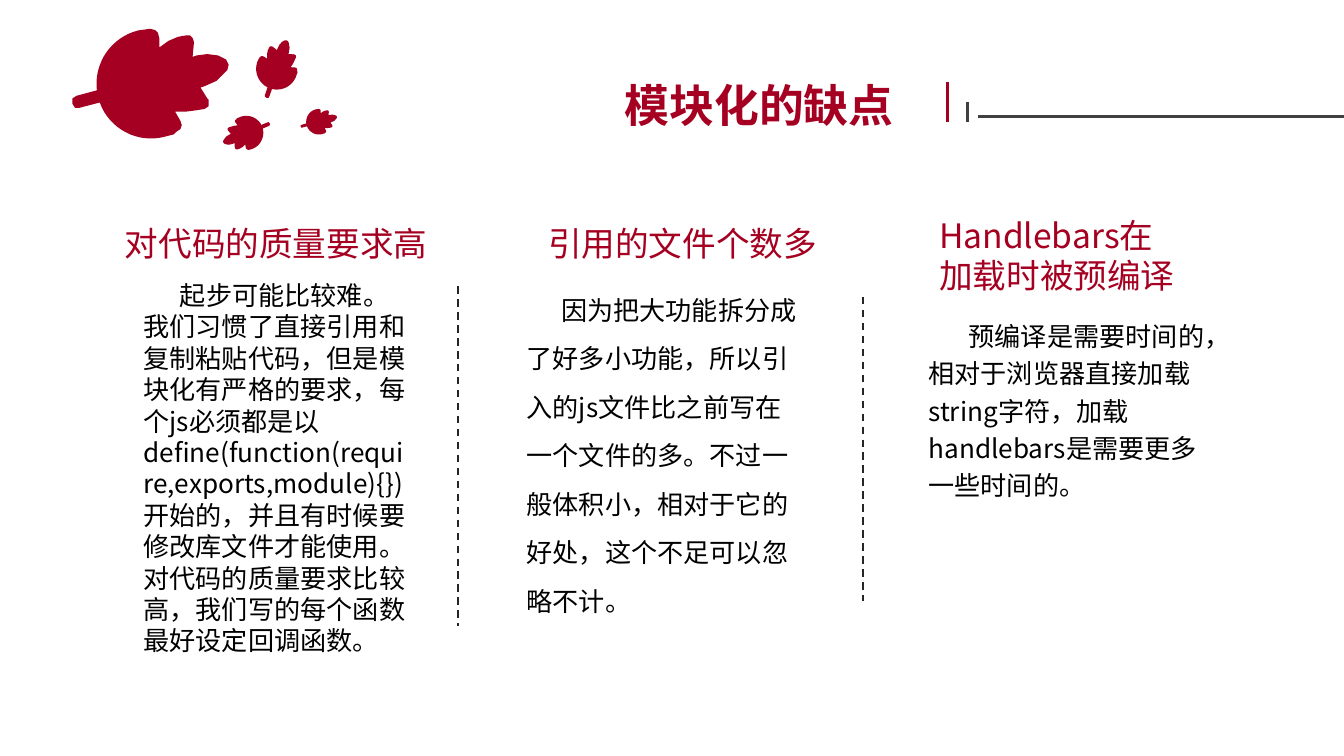
from math import cos, radians, sin

from lxml.etree import SubElement
from pptx import Presentation
from pptx.dml.color import RGBColor
from pptx.enum.dml import MSO_LINE
from pptx.enum.shapes import MSO_CONNECTOR
from pptx.enum.text import MSO_AUTO_SIZE
from pptx.oxml.ns import qn
from pptx.util import Pt

FONT = "Noto Sans CJK SC"
RED, BLACK, GREY, DARK = "A50021", "000000", "404040", "262626"

# text, (left, top, width, height)
TITLE = ("模块化的缺点", (327.6, 38.2, 185, 36))
HEADINGS = [
    ("对代码的质量要求高", (59.8, 115.9, 186.5, 28.8)),
    ("引用的文件个数多", (286.6, 115.9, 158.4, 28.8)),
    ("Handlebars在加载时被预编译", (496.1, 111.6, 141.8, 51.1)),
]
# text, (left, top, width, height), first-line indent, line spacing
BODIES = [
    ("起步可能比较难。我们习惯了直接引用和复制粘贴代码，但是模块化有严格的要求，"
     "每个js必须都是以define(function(require,exports,module){})开始的，"
     "并且有时候要修改库文件才能使用。对代码的质量要求比较高，"
     "我们写的每个函数最好设定回调函数。",
     (69.8, 146.2, 156.2, 211), 19.5, None),
    ("因为把大功能拆分成了好多小功能，所以引入的js文件比之前写在一个文件的多。"
     "不过一般体积小，相对于它的好处，这个不足可以忽略不计。",
     (275, 144.7, 164.2, 190.8), 18.5, 26),
    ("预编译是需要时间的，相对于浏览器直接加载string字符，"
     "加载handlebars是需要更多一些时间的。",
     (490.3, 164.9, 164.2, 108), 21.5, 20),
]
# start x, start y, end x, end y, colour, width, dash
LINES = [
    (524.2, 62.6, 720, 62.6, GREY, 1.5, None),
    (518.4, 54.7, 518.4, 65.5, GREY, 1.5, None),
    (507.6, 43.9, 507.6, 65.5, RED, 1.5, None),
    (245.5, 153.4, 245.5, 335.5, DARK, 1, MSO_LINE.DASH),
    (462.2, 159.1, 462.2, 321.8, DARK, 1, MSO_LINE.DASH),
]
# left, top, size, rotation
LEAVES = [
    (136.1, 24.5, 24.5, 334.4),
    (163.4, 57.6, 15.1, 29.9),
    (121.7, 61.2, 20.2, 202.8),
    (49, 12.2, 64.8, 30.7),
]
# Leaf outline around the centre of its round body, tilted by LEAF_TILT degrees
LEAF_TILT = 30.7
BODY_RADIUS = 41
STEM = [(-41, 5), (-56, 9), (-59, 11), (-59, 15), (-57, 18), (-54, 18)]
LOBES = [
    (17, 38), (19, 36), (22, 34), (23, 31), (22, 28), (18, 21), (26, 21),
    (34, 20), (40, 19), (43, 17), (43, 12), (42, 11), (37, 3), (40, 2),
    (49, -2), (57, -10), (58, -14), (56, -18), (50, -21), (42, -22),
    (34, -21), (31, -20), (32, -31), (31, -34), (29, -36), (26, -36),
    (20, -35), (13, -32), (6, -27), (6, -34), (5, -38), (3, -40), (-1, -41),
]


def color(value):
    return RGBColor.from_string(value)


def body_arc(start, end, steps=16):
    angles = [radians(start + (end - start) * i / steps) for i in range(steps + 1)]
    return [(BODY_RADIUS * cos(a), BODY_RADIUS * sin(a)) for a in angles]


def upright_leaf():
    """Return the leaf outline without its tilt, scaled to a unit square."""
    outline = STEM + body_arc(160, 75) + LOBES + body_arc(256, 173)
    c, s = cos(radians(LEAF_TILT)), sin(radians(LEAF_TILT))
    turned = [(x * c + y * s, y * c - x * s) for x, y in outline]
    spans = [(min(axis), max(axis)) for axis in zip(*turned)]
    return [tuple((v - low) / (high - low) for v, (low, high) in zip(point, spans))
            for point in turned]


def add_leaf(slide, outline, left, top, size, rotation):
    points = [(Pt(left + x * size), Pt(top + y * size)) for x, y in outline]
    builder = slide.shapes.build_freeform(*points[0], scale=1.0)
    builder.add_line_segments(points[1:], close=True)
    leaf = builder.convert_to_shape()
    leaf.rotation = rotation
    leaf.shadow.inherit = False
    leaf.fill.solid()
    leaf.fill.fore_color.rgb = color(RED)
    leaf.line.fill.background()


def add_line(slide, x1, y1, x2, y2, line_color, width, dash):
    connector = slide.shapes.add_connector(
        MSO_CONNECTOR.STRAIGHT, Pt(x1), Pt(y1), Pt(x2), Pt(y2))
    connector.line.color.rgb = color(line_color)
    connector.line.width = Pt(width)
    if dash:
        connector.line.dash_style = dash
    SubElement(connector._element.spPr, qn("a:effectLst"))


def add_text(slide, text, box, size, text_color, bold=False, indent=0, spacing=None):
    shape = slide.shapes.add_textbox(*map(Pt, box))
    frame = shape.text_frame
    frame.word_wrap = True
    frame.auto_size = MSO_AUTO_SIZE.SHAPE_TO_FIT_TEXT
    paragraph = frame.paragraphs[0]
    if indent:
        paragraph._p.get_or_add_pPr().set("indent", str(Pt(indent)))
    if spacing:
        paragraph.line_spacing = Pt(spacing)
    run = paragraph.add_run()
    run.text = text
    run.font.size = Pt(size)
    run.font.bold = bold
    run.font.color.rgb = color(text_color)
    run.font.name = FONT
    SubElement(run._r.get_or_add_rPr(), qn("a:ea"), typeface=FONT)


def main():
    presentation = Presentation()
    presentation.slide_width, presentation.slide_height = Pt(720), Pt(405)
    slide = presentation.slides.add_slide(presentation.slide_layouts[6])
    add_text(slide, *TITLE, 24, RED, bold=True)
    outline = upright_leaf()
    for leaf in LEAVES:
        add_leaf(slide, outline, *leaf)
    for line in LINES:
        add_line(slide, *line)
    for (heading, heading_box), (body, body_box, indent, spacing) in zip(HEADINGS, BODIES):
        add_text(slide, heading, heading_box, 18, RED)
        add_text(slide, body, body_box, 14, BLACK, indent=indent, spacing=spacing)
    presentation.save("out.pptx")


if __name__ == "__main__":
    main()
